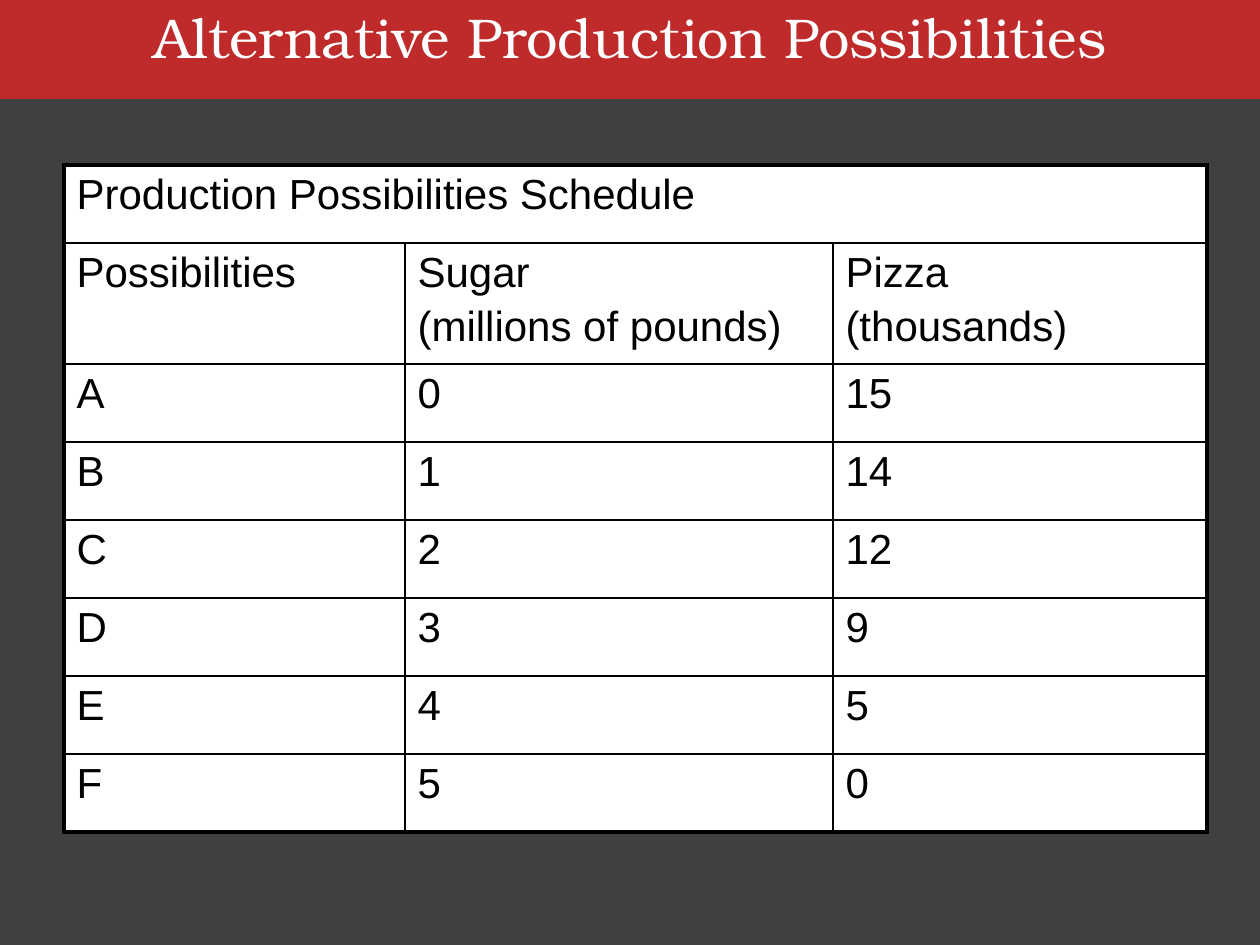
from pptx import Presentation
from pptx import util as u
from pptx.dml.color import RGBColor
from pptx.enum import shapes, text
from pptx.oxml import parse_xml
from pptx.oxml.ns import nsdecls

PX = 914400 / 126
DARK = RGBColor(0x40, 0x40, 0x40)
RED = RGBColor(0xBF, 0x2B, 0x2B)
WHITE = RGBColor(0xFF, 0xFF, 0xFF)
BLACK = RGBColor(0, 0, 0)

TITLE_FONT = {"name": "TeX Gyre Bonum", "size": u.Pt(32)}
TABLE_FONT = {"name": "Arial", "size": u.Pt(24)}
CAPTION = "Production Possibilities Schedule"
SCHEDULE = [
    (CAPTION, "", ""),
    ("Possibilities", "Sugar\n(millions of pounds)", "Pizza\n(thousands)"),
    ("A", "0", "15"),
    ("B", "1", "14"),
    ("C", "2", "12"),
    ("D", "3", "9"),
    ("E", "4", "5"),
    ("F", "5", "0"),
]
COLUMN_WIDTHS = (341, 428, 374)
ROW_HEIGHT, HEADER_HEIGHT = 78, 121
THIN, THICK = 1, 2.25


def px(length):
    return u.Emu(round(length * PX))


def fill_solid(thing, color):
    thing.fill.solid()
    thing.fill.fore_color.rgb = color


def write(para, words, font_format, color):
    span = para.add_run()
    span.text = words
    for name, value in font_format.items():
        setattr(span.font, name, value)
    span.font.color.rgb = color


def add_banner(page, left, top, width, height):
    band = page.shapes.add_shape(shapes.MSO_SHAPE.RECTANGLE,
                                 *map(px, (left, top, width, height)))
    band.shadow.inherit = False
    fill_solid(band, RED)
    band.line.fill.background()

    box = page.shapes.add_textbox(px(left + 64), px(top - 4), px(width - 127), px(149))
    frame = box.text_frame
    frame.word_wrap = True
    para = frame.paragraphs[0]
    para.alignment = text.PP_ALIGN.CENTER
    write(para, "Alternative Production Possibilities", TITLE_FONT, WHITE)


def add_borders(cell, widths):
    """Draw black cell borders, given as points for each side L, R, T, B."""
    properties = cell._tc.get_or_add_tcPr()
    for index, (side, points) in enumerate(widths.items()):
        properties.insert(index, parse_xml(
            f'<a:ln{side} {nsdecls("a")} w="{u.Pt(points)}"><a:solidFill>'
            f'<a:srgbClr val="{BLACK}"/></a:solidFill></a:ln{side}>'))


def fill_cell(cell, words):
    fill_solid(cell, WHITE)
    frame = cell.text_frame
    for index, line in enumerate(words.split("\n")):
        para = frame.add_paragraph() if index else frame.paragraphs[0]
        if index:
            para.space_before = u.Pt(4)
        if line:
            write(para, line, TABLE_FONT, BLACK)


def add_schedule(page, left, top):
    heights = [HEADER_HEIGHT if row == 1 else ROW_HEIGHT for row in range(len(SCHEDULE))]
    last_row, last_column = len(heights) - 1, len(COLUMN_WIDTHS) - 1
    table = page.shapes.add_table(
        len(heights), len(COLUMN_WIDTHS),
        *map(px, (left, top, sum(COLUMN_WIDTHS), sum(heights)))).table
    for option in ("first_row", "horz_banding"):
        setattr(table, option, False)
    for column, width in zip(table.columns, COLUMN_WIDTHS):
        column.width = px(width)
    for row, height in zip(table.rows, heights):
        row.height = px(height)

    table.cell(0, 0).merge(table.cell(0, last_column))
    for row, entries in enumerate(SCHEDULE):
        for column, words in enumerate(entries):
            cell = table.cell(row, column)
            fill_cell(cell, words)
            outer = {"L": column == 0,
                     "R": column == last_column or row == 0,
                     "T": row == 0,
                     "B": row == last_row}
            add_borders(cell, {side: THICK if edge else THIN
                               for side, edge in outer.items()})


def main():
    deck = Presentation()
    deck.slide_width, deck.slide_height = px(1260), px(945)
    page = deck.slides.add_slide(deck.slide_layouts[6])
    fill_solid(page.background, DARK)
    add_banner(page, 0, 0, 1260, 99)
    add_schedule(page, 64, 165)
    deck.save("out.pptx")


if __name__ == "__main__":
    main()
